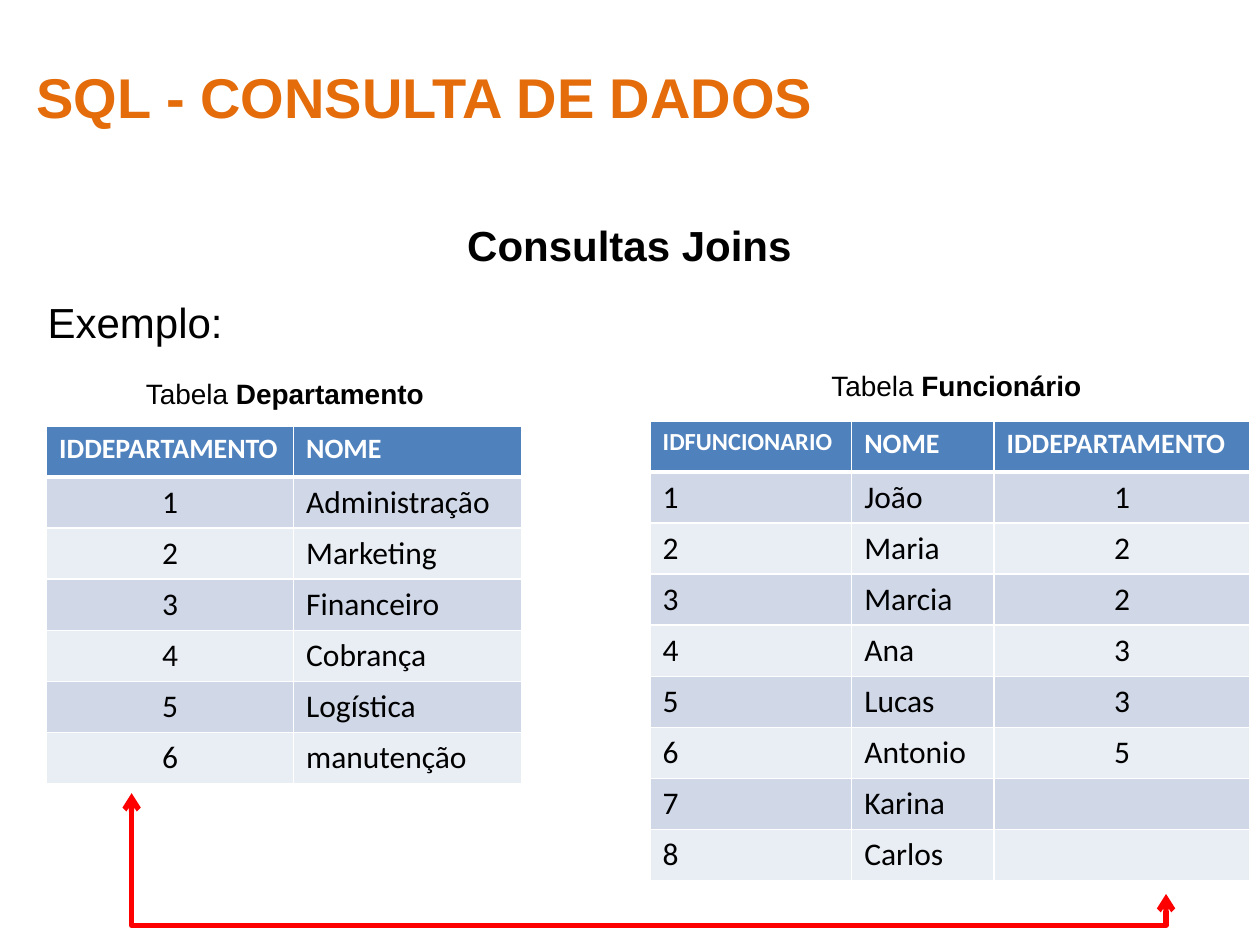
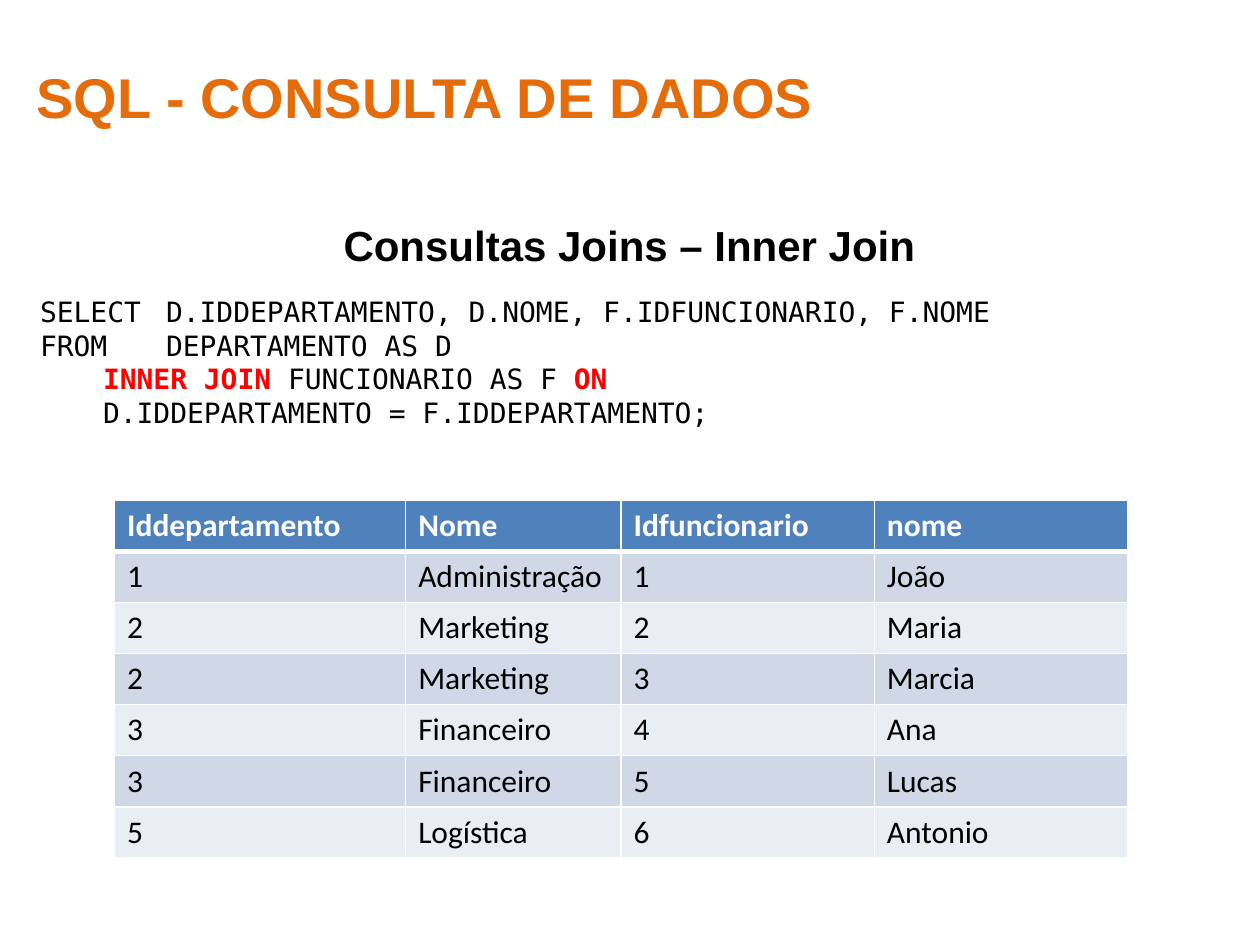
"""Builds two slides on SQL joins."""
from lxml import etree
from pptx import Presentation, util as u
from pptx.dml.color import RGBColor
from pptx.enum import shapes, text
from pptx.oxml import ns

TITLE = "SQL - CONSULTA DE DADOS"
INK, RED, WHITE, ORANGE = "000000", "FF0000", "FFFFFF", "E46C0A"
HEAD, BANDS = "4F81BD", ("D0D8E8", "E9EDF4")
BIG = dict(size=24, name="Arial", color=INK)
LABEL = dict(size=16, name="Arial", color=INK)
CODE = dict(size=16, name="DejaVu Sans Mono", color=INK)
BOLD = dict(bold=True)
KEY = dict(bold=True, color=RED)
LEFT, MID = text.PP_ALIGN.LEFT, text.PP_ALIGN.CENTER

QUERY = [
    [("SELECT\tD.IDDEPARTAMENTO, D.NOME, F.IDFUNCIONARIO, F.NOME", {})],
    [("FROM\tDEPARTAMENTO AS D", {})],
    [("\t", {}), ("INNER JOIN", KEY), (" FUNCIONARIO AS F ", {}), ("ON", KEY)],
    [("\tD.IDDEPARTAMENTO = F.IDDEPARTAMENTO;", {})],
]
DEPTS = dict(
    box=(0.37, 3.38, 3.77, 2.84), cols=(1.96, 1.81), sizes=(16, 16), mids=(0,),
    rows=[("IDDEPARTAMENTO", "NOME"), ("1", "Administração"),
          ("2", "Marketing"), ("3", "Financeiro"), ("4", "Cobrança"),
          ("5", "Logística"), ("6", "manutenção")])
STAFF = dict(
    box=(5.16, 3.34, 4.75, 3.65), cols=(1.6, 1.13, 2.03), sizes=(14, 16, 16),
    mids=(2,),
    rows=[("IDFUNCIONARIO", "NOME", "IDDEPARTAMENTO"), ("1", "João", "1"),
          ("2", "Maria", "2"), ("3", "Marcia", "2"), ("4", "Ana", "3"),
          ("5", "Lucas", "3"), ("6", "Antonio", "5"), ("7", "Karina", ""),
          ("8", "Carlos", "")])
JOINED = dict(
    box=(0.91, 3.97, 8.03, 2.84), cols=(2.31, 1.71, 2.01, 2.01),
    sizes=(18,) * 4, mids=(),
    rows=[("Iddepartamento", "Nome", "Idfuncionario", "nome"),
          ("1", "Administração", "1", "João"), ("2", "Marketing", "2", "Maria"),
          ("2", "Marketing", "3", "Marcia"), ("3", "Financeiro", "4", "Ana"),
          ("3", "Financeiro", "5", "Lucas"), ("5", "Logística", "6", "Antonio")])


def rgb(hue):
    return RGBColor.from_string(hue)


def inches(*vals):
    return [u.Inches(v) for v in vals]


def sub(node, tag, **atts):
    return etree.SubElement(node, ns.qn(tag), atts)


def style(font, form):
    for key, val in form.items():
        if key == "color":
            font.color.rgb = rgb(val)
        else:
            setattr(font, key, u.Pt(val) if key == "size" else val)


def write(slide, box, paras, form, align=LEFT, **frame):
    body = slide.shapes.add_textbox(*inches(*box)).text_frame
    for key, val in {"word_wrap": True, **frame}.items():
        setattr(body, key, val)
    for i, parts in enumerate(paras):
        para = body.add_paragraph() if i else body.paragraphs[0]
        para.alignment = align
        for words, more in parts:
            run = para.add_run()
            run.text = words
            style(run.font, {**form, **more})


def border(cell, head):
    props = cell._tc.get_or_add_tcPr()
    for side in "LRTB":
        width = u.Pt(3 if head and side == "B" else 1)
        line = sub(props, f"a:ln{side}", w=str(width))
        sub(sub(line, "a:solidFill"), "a:srgbClr", val=WHITE)


def grid(slide, box, cols, sizes, mids, rows):
    table = slide.shapes.add_table(len(rows), len(cols), *inches(*box)).table
    for col, wide in zip(table.columns, cols):
        col.width = u.Inches(wide)
    for r, row in enumerate(rows):
        table.rows[r].height = u.Inches(box[3] / len(rows))
        for c, words in enumerate(row):
            cell = table.cell(r, c)
            border(cell, r == 0)
            cell.fill.solid()
            cell.fill.fore_color.rgb = rgb(BANDS[(r - 1) % 2] if r else HEAD)
            cell.text = words
            para = cell.text_frame.paragraphs[0]
            para.alignment = MID if r and c in mids else LEFT
            style(para.font, dict(size=18 if r else sizes[c], name="Calibri",
                                  bold=r == 0, color=INK if r else WHITE))
            for run in para.runs:
                style(run.font, dict(size=18 if r else sizes[c], name="Calibri",
                                     bold=r == 0, color=INK if r else WHITE))


def link(slide):
    line = slide.shapes.add_connector(
        shapes.MSO_CONNECTOR.ELBOW, *inches(5.55, 2.59, 4.75, 10.8))
    line.line.width = u.Pt(3)
    line.line.color.rgb = rgb(RED)
    props = line._element.spPr
    props.find(ns.qn("a:xfrm")).set("rot", str(90 * 60000))
    bend = props.find(ns.qn("a:prstGeom")).find(ns.qn("a:avLst"))
    sub(bend, "a:gd", name="adj1", fmla="val -31300")
    for end in ("a:headEnd", "a:tailEnd"):
        sub(props.find(ns.qn("a:ln")), end, type="arrow")
    sub(props, "a:effectLst")


def start(deck, topic):
    slide = deck.slides.add_slide(deck.slide_layouts[6])
    write(slide, (0.19, 0.21, 9.43, 1.1), [[(TITLE, BOLD)]],
          dict(size=32, name="Arial", color=ORANGE),
          vertical_anchor=text.MSO_ANCHOR.MIDDLE)
    write(slide, (0.35, 1.66, 9.29, 0.61), [[(topic, BOLD)]], BIG, MID,
          margin_top=u.Inches(0.08))
    return slide


def main():
    deck = Presentation()
    deck.slide_width, deck.slide_height = inches(10, 7.5)

    slide = start(deck, "Consultas Joins")
    write(slide, (0.28, 2.27, 9.53, 4.86), [[("Exemplo:", {})]], BIG,
          margin_top=u.Inches(0.08))
    for name, box in (("Departamento", (1.06, 2.94, 2.43, 0.37)),
                      ("Funcionário", (6.5, 2.88, 2.21, 0.37))):
        write(slide, box, [[("Tabela ", {}), (name, BOLD)]], LABEL,
              word_wrap=False)
    grid(slide, **DEPTS)
    grid(slide, **STAFF)
    link(slide)

    slide = start(deck, "Consultas Joins – Inner Join")
    write(slide, (0.22, 2.29, 9.76, 1.18), QUERY, CODE)
    grid(slide, **JOINED)
    deck.save("out.pptx")


if __name__ == "__main__":
    main()
